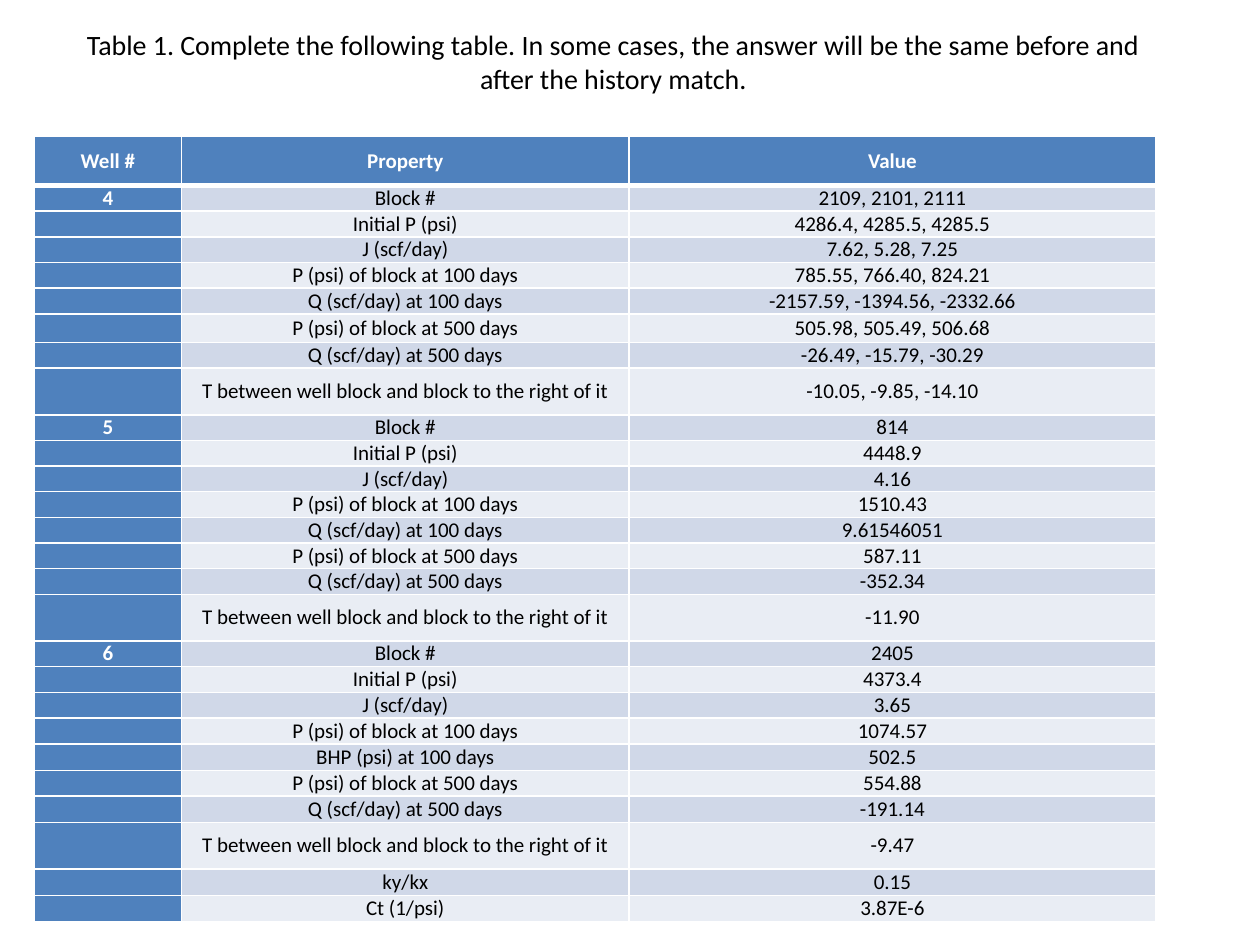
"""Build a slide with a table of well properties before and after a history match."""
from lxml import etree
from pptx import Presentation
from pptx.dml.color import RGBColor
from pptx.enum.text import MSO_ANCHOR, MSO_AUTO_SIZE, PP_ALIGN
from pptx.oxml.ns import qn
from pptx.util import Cm, Pt

CENTER = PP_ALIGN.CENTER
TOP, MIDDLE = MSO_ANCHOR.TOP, MSO_ANCHOR.MIDDLE
NO_AUTOFIT = MSO_AUTO_SIZE.NONE
TITLE_ONLY = 5

COLORS = {"head": "4F81BD", "odd": "D0D8E8", "even": "E9EDF4", "white": "FFFFFF", "black": "000000"}
FONT = "Calibri"

TITLE = ("Table 1. Complete the following table. In some cases, the answer will be "
         "the same before and after the history match.")
HEADER = ("Well #", "Property", "Value")
RIGHT_BLOCK = "T between well block and block to the right of it"
PROPERTIES = ["Block #", "Initial P (psi)", "J (scf/day)", "P (psi) of block at 100 days",
              "Q (scf/day) at 100 days", "P (psi) of block at 500 days",
              "Q (scf/day) at 500 days", RIGHT_BLOCK]
LAST_PROPERTIES = [*PROPERTIES[:4], "BHP (psi) at 100 days", *PROPERTIES[5:], "ky/kx", "Ct (1/psi)"]
WELLS = [
    ("4", PROPERTIES, ["2109, 2101, 2111", "4286.4, 4285.5, 4285.5", "7.62, 5.28, 7.25",
                       "785.55, 766.40, 824.21", "-2157.59, -1394.56, -2332.66",
                       "505.98, 505.49, 506.68", "-26.49, -15.79, -30.29",
                       "-10.05, -9.85, -14.10"]),
    ("5", PROPERTIES, ["814", "4448.9", "4.16", "1510.43", "9.61546051", "587.11",
                       "-352.34", "-11.90"]),
    ("6", LAST_PROPERTIES, ["2405", "4373.4", "3.65", "1074.57", "502.5", "554.88",
                            "-191.14", "-9.47", "0.15", "3.87E-6"]),
]

COLUMN_WIDTHS = (2.97, 9.02, 10.62)
HEADER_HEIGHT, TALL_HEIGHT, ROW_HEIGHT = 0.99, 0.94, 0.51
SPECIAL_HEIGHTS = {0: HEADER_HEIGHT, 6: 0.58} | dict.fromkeys((20, 21, 23, 25, 26), 0.53)


def write(frame, text, size=12, color="black", bold=False):
    """Write one centred paragraph into a text frame."""
    para = frame.paragraphs[0]
    para.alignment = CENTER
    if text:
        span = para.add_run()
        span.text = text
        span.font.name, span.font.size, span.font.bold = FONT, Pt(size), bold
        span.font.color.rgb = RGBColor.from_string(COLORS[color])
    etree.SubElement(para._p, qn("a:endParaRPr"), sz=str(size * 100))


def add_borders(cell, top, bottom):
    """Draw white borders round a cell, with top and bottom widths in points."""
    properties = cell._tc.get_or_add_tcPr()
    for side, width in (("L", 1), ("R", 1), ("T", top), ("B", bottom)):
        line = etree.SubElement(properties, qn(f"a:ln{side}"), w=str(Pt(width)))
        fill = etree.SubElement(line, qn("a:solidFill"))
        etree.SubElement(fill, qn("a:srgbClr"), val=COLORS["white"])


def add_title(slide):
    """Place and format the title."""
    title = slide.shapes.title
    title.left, title.top, title.width, title.height = Cm(1.47), Cm(0.43), Cm(21.79), Cm(1.63)
    frame = title.text_frame
    frame.word_wrap, frame.auto_size, frame.vertical_anchor = True, NO_AUTOFIT, TOP
    write(frame, TITLE, size=16)


def add_well_table(slide):
    """Build the table from the header and the wells."""
    rows = [HEADER]
    for well, properties, values in WELLS:
        labels = [well] + [""] * (len(values) - 1)
        rows += zip(labels, properties, values)
    heights = [TALL_HEIGHT if row[1] == RIGHT_BLOCK else SPECIAL_HEIGHTS.get(index, ROW_HEIGHT)
               for index, row in enumerate(rows)]
    table = slide.shapes.add_table(len(rows), len(HEADER), Cm(0.69), Cm(2.75),
                                   Cm(sum(COLUMN_WIDTHS)), Cm(sum(heights))).table
    for column, width in zip(table.columns, COLUMN_WIDTHS):
        column.width = Cm(width)
    for row_index, (row, height) in enumerate(zip(rows, heights)):
        table.rows[row_index].height = Cm(height)
        for column_index, text in enumerate(row):
            cell = table.cell(row_index, column_index)
            is_head = row_index == 0 or column_index == 0
            band = "odd" if row_index % 2 else "even"
            cell.margin_left = cell.margin_right = Cm(0.18)
            cell.margin_top = cell.margin_bottom = 0
            cell.vertical_anchor = MIDDLE
            add_borders(cell, 3 if row_index == 1 else 1, 3 if row_index == 0 else 1)
            cell.fill.solid()
            cell.fill.fore_color.rgb = RGBColor.from_string(COLORS["head" if is_head else band])
            write(cell.text_frame, text, color="white" if is_head else "black", bold=is_head)


def main():
    """Create and save the deck."""
    deck = Presentation()
    deck.slide_width, deck.slide_height = Cm(25.4), Cm(19.05)
    slide = deck.slides.add_slide(deck.slide_layouts[TITLE_ONLY])
    add_title(slide)
    add_well_table(slide)
    deck.save("out.pptx")


if __name__ == "__main__":
    main()
